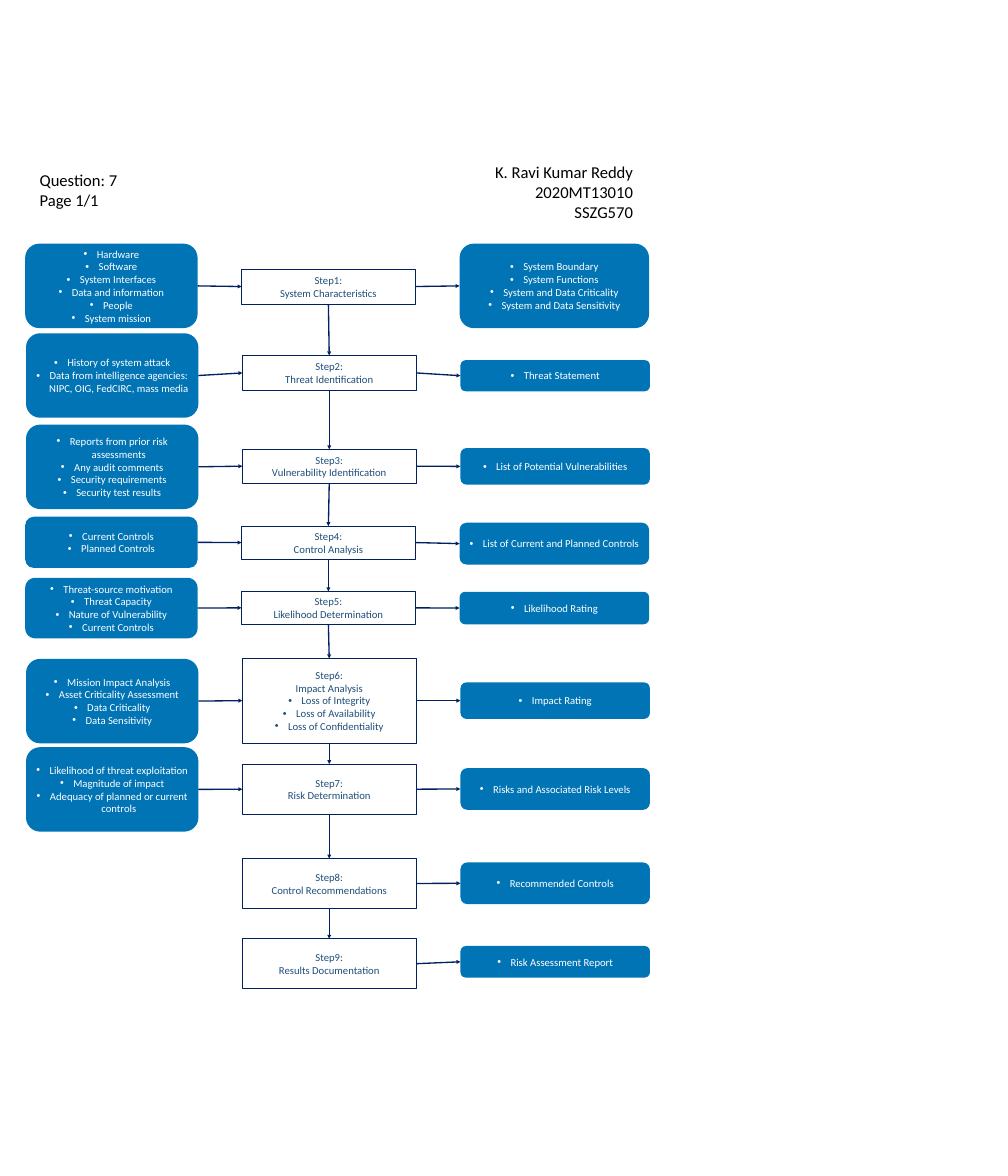
"""Build the nine-step risk assessment flowchart with its inputs and outputs."""
from lxml import etree
from pptx import Presentation
from pptx.dml.color import RGBColor
from pptx.enum.shapes import MSO_CONNECTOR, MSO_SHAPE
from pptx.enum.text import MSO_ANCHOR, MSO_AUTO_SIZE, PP_ALIGN
from pptx.oxml.ns import qn
from pptx.util import Inches, Pt

RECT, ROUNDED = MSO_SHAPE.RECTANGLE, MSO_SHAPE.ROUNDED_RECTANGLE
STRAIGHT = MSO_CONNECTOR.STRAIGHT
LEFT, CENTER, RIGHT = PP_ALIGN.LEFT, PP_ALIGN.CENTER, PP_ALIGN.RIGHT
MIDDLE, GROW = MSO_ANCHOR.MIDDLE, MSO_AUTO_SIZE.SHAPE_TO_FIT_TEXT
TOP_SIDE, LEFT_SIDE, BOTTOM_SIDE, RIGHT_SIDE = range(4)
NAVY, BLUE, STEEL, WHITE, BLACK = "002060", "0074B5", "1F4E79", "FFFFFF", "000000"
BULLET_INDENT = Inches(0.31)


def write(box, text, size, color, align, plain_count):
    """Fill a box with text, bulleting the paragraphs after the plain ones."""
    box.text_frame.text = text
    for index, para in enumerate(box.text_frame.paragraphs):
        para.alignment = align
        for span in para.runs:
            span.font.name = "Calibri"
            span.font.size = Pt(size)
            span.font.color.rgb = RGBColor.from_string(color)
        if index >= plain_count:
            properties = para._p.get_or_add_pPr()
            properties.set("marL", str(BULLET_INDENT))
            properties.set("indent", str(-BULLET_INDENT))
            etree.SubElement(properties, qn("a:buFont"), typeface="Arial")
            etree.SubElement(properties, qn("a:buChar"), char="•")


def join(page, start, start_side, end, end_side):
    """Draw an arrow between the sides of two boxes."""
    arrow = page.shapes.add_connector(STRAIGHT, 0, 0, 0, 0)
    arrow.begin_connect(start, start_side)
    arrow.end_connect(end, end_side)
    arrow.line.color.rgb = RGBColor.from_string(NAVY)
    arrow.line.width = Pt(2.25)
    outline = arrow._element.spPr.find(qn("a:ln"))
    etree.SubElement(outline, qn("a:tailEnd"), type="triangle")
    etree.SubElement(arrow._element.spPr, qn("a:effectLst"))


deck = Presentation()
deck.slide_width, deck.slide_height = Inches(23.62), Inches(27.56)
page = deck.slides.add_slide(deck.slide_layouts[6])

columns = {"input": (0.61, 4.04), "step": (5.68, 4.07), "output": (10.79, 4.44)}
rows = [
    (-0.02, {
        "input": (5.71, 1.98, "Hardware\nSoftware\nSystem Interfaces\nData and information\nPeople\nSystem mission"),
        "step": (6.3, 0.83, "Step1:\vSystem Characteristics"),
        "output": (5.71, 1.98, "System Boundary\nSystem Functions\nSystem and Data Criticality\n"
                               "System and Data Sensitivity")}),
    (0, {
        "input": (7.81, 1.98, "History of system attack\n"
                              "Data from intelligence agencies: NIPC, OIG, FedCIRC, mass media"),
        "step": (8.33, 0.82, "Step2:\nThreat Identification"),
        "output": (8.44, 0.73, "Threat Statement")}),
    (0, {
        "input": (9.95, 1.98, "Reports from prior risk assessments\nAny audit comments\n"
                              "Security requirements\nSecurity test results"),
        "step": (10.53, 0.79, "Step3:\nVulnerability Identification"),
        "output": (10.5, 0.86, "List of Potential Vulnerabilities")}),
    (-0.02, {
        "input": (12.11, 1.2, "Current Controls\nPlanned Controls"),
        "step": (12.33, 0.77, "Step4:\nControl Analysis"),
        "output": (12.25, 0.98, "List of Current and Planned Controls")}),
    (-0.02, {
        "input": (13.54, 1.42, "Threat-source motivation\nThreat Capacity\nNature of Vulnerability\nCurrent Controls"),
        "step": (13.86, 0.77, "Step5:\vLikelihood Determination"),
        "output": (13.87, 0.76, "Likelihood Rating")}),
    (0, {
        "input": (15.44, 1.98, "Mission Impact Analysis\nAsset Criticality Assessment\n"
                               "Data Criticality\nData Sensitivity"),
        "step": (15.43, 1.98, "Step6:\nImpact Analysis\nLoss of Integrity\n"
                              "Loss of Availability\nLoss of Confidentiality"),
        "output": (15.99, 0.86, "Impact Rating")}),
    (0, {
        "input": (17.51, 1.98, "Likelihood of threat exploitation\nMagnitude of impact\n"
                               "Adequacy of planned or current controls"),
        "step": (17.91, 1.17, "Step7:\nRisk Determination"),
        "output": (18, 0.98, "Risks and Associated Risk Levels")}),
    (0, {
        "step": (20.12, 1.17, "Step8:\nControl Recommendations"),
        "output": (20.21, 0.98, "Recommended Controls")}),
    (0, {
        "step": (22, 1.17, "Step9:\nResults Documentation"),
        "output": (22.17, 0.74, "Risk Assessment Report")}),
]

previous_step = None
for shift, cells in rows:
    boxes = {}
    for role, (top, height, text) in cells.items():
        left, width = columns[role]
        is_step = role == "step"
        box = page.shapes.add_shape(RECT if is_step else ROUNDED, Inches(left + shift),
                                    Inches(top), Inches(width), Inches(height))
        box.shadow.inherit = False
        box.text_frame.word_wrap = True
        box.text_frame.vertical_anchor = MIDDLE
        if is_step:
            box.fill.background()
            box.line.color.rgb = RGBColor.from_string(NAVY)
            box.line.width = Pt(1)
            write(box, text, 18, STEEL, CENTER, 2)
        else:
            box.fill.solid()
            box.fill.fore_color.rgb = RGBColor.from_string(BLUE)
            box.line.fill.background()
            write(box, text, 18, WHITE, CENTER, 0)
        boxes[role] = box
    if "input" in boxes:
        join(page, boxes["input"], RIGHT_SIDE, boxes["step"], LEFT_SIDE)
    join(page, boxes["step"], RIGHT_SIDE, boxes["output"], LEFT_SIDE)
    if previous_step is not None:
        join(page, previous_step, BOTTOM_SIDE, boxes["step"], TOP_SIDE)
    previous_step = boxes["step"]

headings = [
    (0.83, 3.93, 2.05, 1.04, LEFT, "Question: 7\nPage 1/1"),
    (11.46, 3.74, 3.47, 1.51, RIGHT, "K. Ravi Kumar Reddy\n2020MT13010\nSSZG570"),
]
for left, top, width, height, align, text in headings:
    heading = page.shapes.add_textbox(Inches(left), Inches(top), Inches(width), Inches(height))
    heading.text_frame.word_wrap = False
    heading.text_frame.auto_size = GROW
    write(heading, text, 28, BLACK, align, 3)

deck.save("out.pptx")
